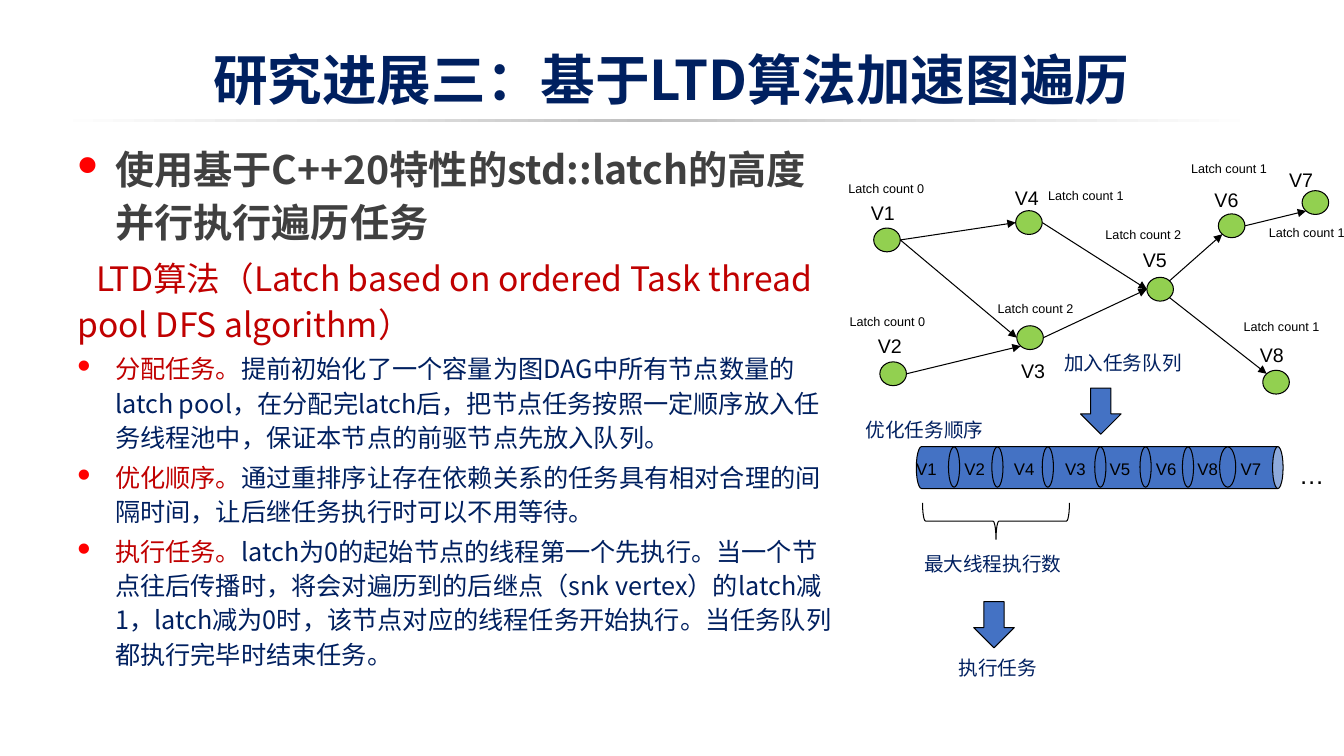
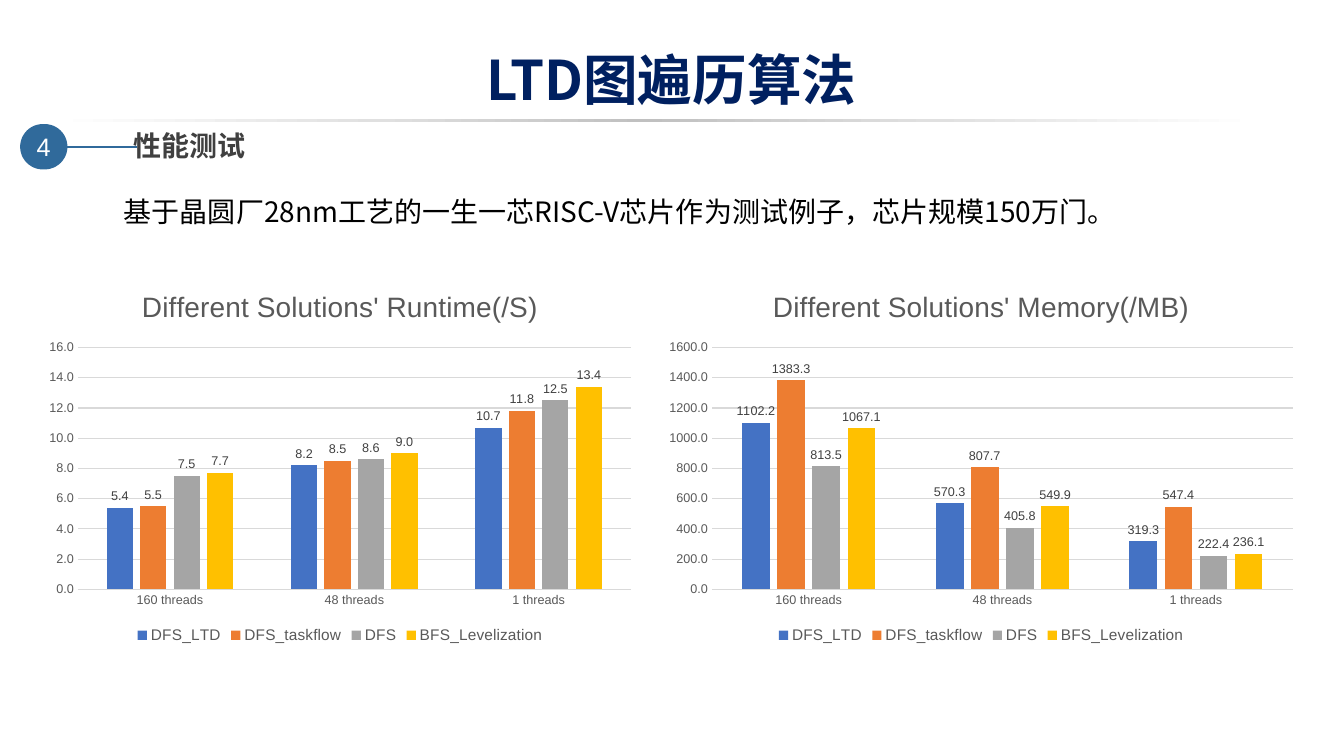
from dataclasses import dataclass
from math import sqrt

from lxml import etree
from pptx import Presentation
from pptx.chart.data import CategoryChartData
from pptx.dml.color import RGBColor
from pptx.enum import chart as charts, shapes, text
from pptx.oxml import parse_xml
from pptx.oxml.ns import nsdecls, qn
from pptx.util import Pt


@dataclass(frozen=True)
class Theme:
    latin: str = "Arial"
    chinese: str = "Noto Sans CJK SC"
    navy: str = "002060"
    red: str = "C00000"
    bullet: str = "FF0000"
    dark: str = "404040"
    grey: str = "595959"
    grid: str = "D9D9D9"
    black: str = "000000"
    white: str = "FFFFFF"
    blue: str = "4472C4"
    badge: str = "306A9B"
    node: str = "92D050"
    series: tuple = ("4472C4", "ED7D31", "A5A5A5", "FFC000")
    rule: tuple = ((0, "FFFFFF"), (27, "E0E0E0"), (49, "C0C0C0"), (73, "E0E0E0"), (100, "FFFFFF"))
    title: int = 39
    heading: int = 28
    subheading: int = 24
    lead: int = 20
    body: int = 18
    label: int = 14
    queue: int = 12
    legend: int = 11
    small: int = 9
    body_spacing: float = 1.14


THEME = Theme()
AUTO = shapes.MSO_SHAPE

# Each paragraph: size, bold, bulleted, runs of (text, colour)
BODY = [
    (THEME.heading, True, True, [("使用基于C++20特性的std::latch的高度并行执行遍历任务", THEME.dark)]),
    (THEME.subheading, False, False,
     [("LTD算法（Latch based on ordered Task thread pool DFS algorithm）", THEME.red)]),
    (THEME.body, False, True, [
        ("分配任务。", THEME.red),
        ("提前初始化了一个容量为图DAG中所有节点数量的latch pool，在分配完latch后，"
         "把节点任务按照一定顺序放入任务线程池中，保证本节点的前驱节点先放入队列。", THEME.navy)]),
    (THEME.body, False, True, [
        ("优化顺序。", THEME.red),
        ("通过重排序让存在依赖关系的任务具有相对合理的间隔时间，让后继任务执行时可以不用等待。",
         THEME.navy)]),
    (THEME.body, False, True, [
        ("执行任务。", THEME.red),
        ("latch为0的起始节点的线程第一个先执行。当一个节点往后传播时，将会对遍历到的后继点"
         "（snk vertex）的latch减1，latch减为0时，该节点对应的线程任务开始执行。"
         "当任务队列都执行完毕时结束任务。", THEME.navy)]),
]

# Vertex: centre, corner of its name, corner of its latch label, latch count
VERTICES = {
    "V1": ((633.6, 171.4), (615, 139.7), (599, 126), 0),
    "V2": ((638, 267), (620, 234.7), (599.8, 221), 0),
    "V3": ((735.8, 241.2), (722.2, 252.7), (705.6, 211.7), 2),
    "V4": ((735, 159), (717.8, 128.9), (741.6, 131), 1),
    "V5": ((828.7, 206.6), (809.3, 173.5), (782.6, 158.4), 2),
    "V6": ((879.8, 161.3), (860.4, 131), (843.8, 111.6), 1),
    "V7": ((939.6, 144.7), (913.7, 116.6), (899.3, 157), 1),
    "V8": ((911.5, 273), (892.8, 241.2), (881.3, 224), 1),
}
NODE_WIDTH, NODE_HEIGHT = 19, 17
DIAGONAL = sqrt(0.5)
SITES = {
    "left": (-1, 0), "right": (1, 0),
    "upper left": (-DIAGONAL, -DIAGONAL), "upper right": (DIAGONAL, -DIAGONAL),
    "lower left": (-DIAGONAL, DIAGONAL), "lower right": (DIAGONAL, DIAGONAL),
}
EDGES = [
    ("V1", "right", "V4", "left"),
    ("V1", "right", "V3", "left"),
    ("V2", "right", "V3", "lower left"),
    ("V3", "right", "V5", "left"),
    ("V4", "right", "V5", "left"),
    ("V5", "upper right", "V6", "lower left"),
    ("V5", "lower right", "V8", "upper left"),
    ("V6", "right", "V7", "lower left"),
]

QUEUE = [("V1", 647.3), ("V2", 681.8), ("V4", 717.1), ("V3", 753.8),
         ("V5", 785.5), ("V6", 818.6), ("V8", 848.2), ("V7", 879.1)]
# Left and width of each divider
DIVIDERS = [(677.5, 8), (708.5, 8), (744.5, 8), (782, 8), (814.3, 8), (844.6, 8), (871.2, 11.5)]
CAPTIONS = [("加入任务队列", 753, 247), ("优化任务顺序", 611.3, 295.2),
            ("最大线程执行数", 653, 391), ("执行任务", 677.5, 465.1)]
DOWN_ARROWS = [(771.8, 277.2), (695.5, 429.8)]

THREADS = ["160 threads", "48 threads", "1 threads"]
SOLUTIONS = ["DFS_LTD", "DFS_taskflow", "DFS", "BFS_Levelization"]
CHART_HEIGHT, PLOT_TOP, PLOT_HEIGHT = 269.3, 54.6, 172.8
# Each chart: title, left, width, axis maximum, axis step, plot left and width, values
CHARTS = [
    ("Different Solutions' Runtime(/S)", 26.6, 432.7, 16, 2, (29, 395),
     [(5.4, 8.2, 10.7), (5.5, 8.5, 11.8), (7.5, 8.6, 12.5), (7.7, 9.0, 13.4)]),
    ("Different Solutions' Memory(/MB)", 468.7, 464.4, 1600, 200, (39.8, 415),
     [(1102.2, 570.3, 319.3), (1383.3, 807.7, 547.4), (813.5, 405.8, 222.4),
      (1067.1, 549.9, 236.1)]),
]


def points(*lengths):
    return [Pt(length) for length in lengths]


def style(font, size, colour, family=THEME.latin, bold=False):
    font.size, font.bold, font.name = Pt(size), bold, family
    font.color.rgb = RGBColor.from_string(colour)
    if family == THEME.chinese:
        etree.SubElement(font._rPr, qn("a:ea"), typeface=family)


def add_label(parent, content, left, top, width, size, colour=THEME.black,
              family=THEME.latin, bold=False):
    box = parent.add_textbox(*points(left, top, width, size + 10))
    box.text_frame.word_wrap = True
    paragraph = box.text_frame.paragraphs[0]
    paragraph.text = content
    style(paragraph.font, size, colour, family, bold)


def add_figure(parent, kind, left, top, width, height, fill=None, line=THEME.black, rotation=0):
    shape = parent.add_shape(kind, *points(left, top, width, height))
    shape.shadow.inherit = False
    shape.rotation = rotation
    if fill:
        shape.fill.solid()
        shape.fill.fore_color.rgb = RGBColor.from_string(fill)
    else:
        shape.fill.background()
    if line:
        shape.line.color.rgb = RGBColor.from_string(line)
        shape.line.width = Pt(0.75)
    else:
        shape.line.fill.background()
    return shape


def add_line(parent, start, end, colour, width, arrow=False):
    connector = parent.add_connector(shapes.MSO_CONNECTOR.STRAIGHT, *points(*start, *end))
    connector.line.color.rgb = RGBColor.from_string(colour)
    connector.line.width = Pt(width)
    if arrow:
        etree.SubElement(connector.line._get_or_add_ln(), qn("a:tailEnd"), type="triangle")
    etree.SubElement(connector._element.spPr, qn("a:effectLst"))
    return connector


def add_titled_slide(presentation, title):
    slide = presentation.slides.add_slide(presentation.slide_layouts[5])
    rule = add_figure(slide.shapes, AUTO.RECTANGLE, 37.4, 85.2, 862.6, 2, THEME.white, None)
    rule.fill.gradient()
    rule.fill.gradient_angle = 0
    stops = rule._element.spPr.find(".//" + qn("a:gsLst"))
    for stop in list(stops):
        stops.remove(stop)
    for position, colour in THEME.rule:
        stop = etree.SubElement(stops, qn("a:gs"), pos=str(position * 1000))
        etree.SubElement(stop, qn("a:srgbClr"), val=colour)

    holder = slide.shapes.title
    holder.left, holder.top, holder.width, holder.height = points(48.2, 9.7, 862.6, 73.5)
    frame = holder.text_frame
    frame.auto_size = text.MSO_AUTO_SIZE.NONE
    frame.vertical_anchor = text.MSO_ANCHOR.BOTTOM
    paragraph = frame.paragraphs[0]
    paragraph.text = title
    paragraph.alignment = text.PP_ALIGN.CENTER
    style(paragraph.font, THEME.title, THEME.navy, THEME.chinese, True)
    return slide


def add_body(slide):
    frame = slide.shapes.add_textbox(*points(48.2, 95.3, 559.4, 381)).text_frame
    frame.word_wrap = True
    for index, (size, bold, bulleted, runs) in enumerate(BODY):
        paragraph = frame.add_paragraph() if index else frame.paragraphs[0]
        paragraph.line_spacing = THEME.body_spacing
        if index:
            paragraph.space_before = Pt(round(size * 0.2, 1))
        properties = paragraph._p.get_or_add_pPr()
        if bulleted:
            properties.set("marL", str(Pt(27)))
            properties.set("indent", str(Pt(-27)))
            colour = etree.SubElement(properties, qn("a:buClr"))
            etree.SubElement(colour, qn("a:srgbClr"), val=THEME.bullet)
            etree.SubElement(properties, qn("a:buSzPct"), val="70000")
            etree.SubElement(properties, qn("a:buFont"), typeface="Wingdings", charset="2")
            etree.SubElement(properties, qn("a:buChar"), char="l")
        else:
            properties.set("indent", str(Pt(13.5)))
        for content, run_colour in runs:
            run = paragraph.add_run()
            run.text = content
            style(run.font, size, run_colour, THEME.chinese, bold)


def site(vertex, side):
    """Point on the outline of a vertex."""
    (x, y), (across, down) = VERTICES[vertex][0], SITES[side]
    return x + across * NODE_WIDTH / 2, y + down * NODE_HEIGHT / 2


def add_graph(slide):
    for name, ((x, y), name_corner, latch_corner, count) in VERTICES.items():
        add_figure(slide.shapes, AUTO.FLOWCHART_CONNECTOR, x - NODE_WIDTH / 2,
                   y - NODE_HEIGHT / 2, NODE_WIDTH, NODE_HEIGHT, THEME.node)
        add_label(slide.shapes, name, *name_corner, 39.6, THEME.label)
        add_label(slide.shapes, f"Latch count {count}", *latch_corner, 81.4, THEME.small)
    for source, source_side, target, target_side in EDGES:
        add_line(slide.shapes, site(source, source_side), site(target, target_side),
                 THEME.black, 0.75, arrow=True)


def add_queue(slide):
    queue = slide.shapes.add_group_shape().shapes
    add_figure(queue, AUTO.CAN, 770.5, 203, 30, 262, THEME.blue, rotation=90)
    for left, width in DIVIDERS:
        add_figure(queue, AUTO.OVAL, left, 319.2, width, 28.8, THEME.blue)
    for name, left in QUEUE:
        add_label(queue, name, left, 324, 40, THEME.queue)
    add_label(slide.shapes, "…", 920.9, 324.7, 32, THEME.body)
    add_figure(slide.shapes, AUTO.RIGHT_BRACE, 698.4, 319.7, 26, 105, rotation=90)
    for left, top in DOWN_ARROWS:
        add_figure(slide.shapes, AUTO.DOWN_ARROW, left, top, 29, 33, THEME.blue)
    for content, left, top in CAPTIONS:
        add_label(slide.shapes, content, left, top, len(content) * THEME.label + 18,
                  THEME.label, THEME.navy, THEME.chinese)


def add_column_chart(slide, title, left, width, maximum, step, plot_span, values):
    data = CategoryChartData(number_format="0.0")
    data.categories = THREADS
    for name, series_values in zip(SOLUTIONS, values):
        data.add_series(name, series_values)
    chart = slide.shapes.add_chart(charts.XL_CHART_TYPE.COLUMN_CLUSTERED,
                                   *points(left, 193.7, width, CHART_HEIGHT), data).chart
    style(chart.font, 10, THEME.black)
    chart.has_title = True
    heading = chart.chart_title.text_frame.paragraphs[0]
    heading.text = title
    style(heading.font, THEME.lead, THEME.grey)
    chart.chart_title.include_in_layout = False
    chart.has_legend = True
    chart.legend.position = charts.XL_LEGEND_POSITION.BOTTOM
    chart.legend.include_in_layout = False
    style(chart.legend.font, THEME.legend, THEME.grey)

    for axis in (chart.category_axis, chart.value_axis):
        axis.major_tick_mark = axis.minor_tick_mark = charts.XL_TICK_MARK.NONE
        style(axis.tick_labels.font, THEME.small, THEME.grey)
    value_axis = chart.value_axis
    value_axis.minimum_scale, value_axis.maximum_scale, value_axis.major_unit = 0, maximum, step
    value_axis.tick_labels.number_format = "0.0"
    value_axis.tick_labels.number_format_is_linked = False
    value_axis.format.line.fill.background()
    for line in (chart.category_axis.format.line, value_axis.major_gridlines.format.line):
        line.color.rgb = RGBColor.from_string(THEME.grid)
        line.width = Pt(0.75)

    plot = chart.plots[0]
    plot.gap_width, plot.overlap, plot.vary_by_categories = 219, -27, False
    for series, colour in zip(plot.series, THEME.series):
        series.format.fill.solid()
        series.format.fill.fore_color.rgb = RGBColor.from_string(colour)
        labels = series.data_labels
        labels.show_value = True
        labels.position = charts.XL_LABEL_POSITION.OUTSIDE_END
        labels.number_format, labels.number_format_is_linked = "0.0", False
        style(labels.font, THEME.small, THEME.dark)

    plot_area = chart._chartSpace.chart.plotArea
    for layout in plot_area.findall(qn("c:layout")):
        plot_area.remove(layout)
    x, span = (length / width for length in plot_span)
    plot_area.insert(0, parse_xml(
        f'<c:layout {nsdecls("c")}><c:manualLayout><c:layoutTarget val="inner"/>'
        f'<c:xMode val="edge"/><c:yMode val="edge"/>'
        f'<c:x val="{x:.4f}"/><c:y val="{PLOT_TOP / CHART_HEIGHT:.4f}"/>'
        f'<c:w val="{span:.4f}"/><c:h val="{PLOT_HEIGHT / CHART_HEIGHT:.4f}"/>'
        f'</c:manualLayout></c:layout>'))


def add_test_heading(slide):
    badge = add_figure(slide.shapes, AUTO.ROUNDED_RECTANGLE, 14.4, 88.6, 33.8, 32.4,
                       THEME.badge, None)
    badge.adjustments[0] = 0.5
    badge.text_frame.vertical_anchor = text.MSO_ANCHOR.MIDDLE
    paragraph = badge.text_frame.paragraphs[0]
    paragraph.text = "4"
    paragraph.alignment = text.PP_ALIGN.CENTER
    style(paragraph.font, THEME.body, THEME.white)
    add_line(slide.shapes, (48.2, 104.8), (98, 104.8), THEME.badge, 1.5).begin_connect(badge, 3)
    add_label(slide.shapes, "性能测试", 88.2, 88.6, 100, THEME.lead, THEME.dark,
              THEME.chinese, True)
    add_label(slide.shapes, "基于晶圆厂28nm工艺的一生一芯RISC-V芯片作为测试例子，芯片规模150万门。",
              81.4, 135.4, 712, THEME.lead, THEME.black, THEME.chinese)


def main():
    presentation = Presentation()
    presentation.slide_width, presentation.slide_height = points(960, 540)
    slide = add_titled_slide(presentation, "研究进展三：基于LTD算法加速图遍历")
    add_body(slide)
    add_graph(slide)
    add_queue(slide)
    slide = add_titled_slide(presentation, "LTD图遍历算法")
    add_test_heading(slide)
    for chart in CHARTS:
        add_column_chart(slide, *chart)
    presentation.save("out.pptx")


if __name__ == "__main__":
    main()
